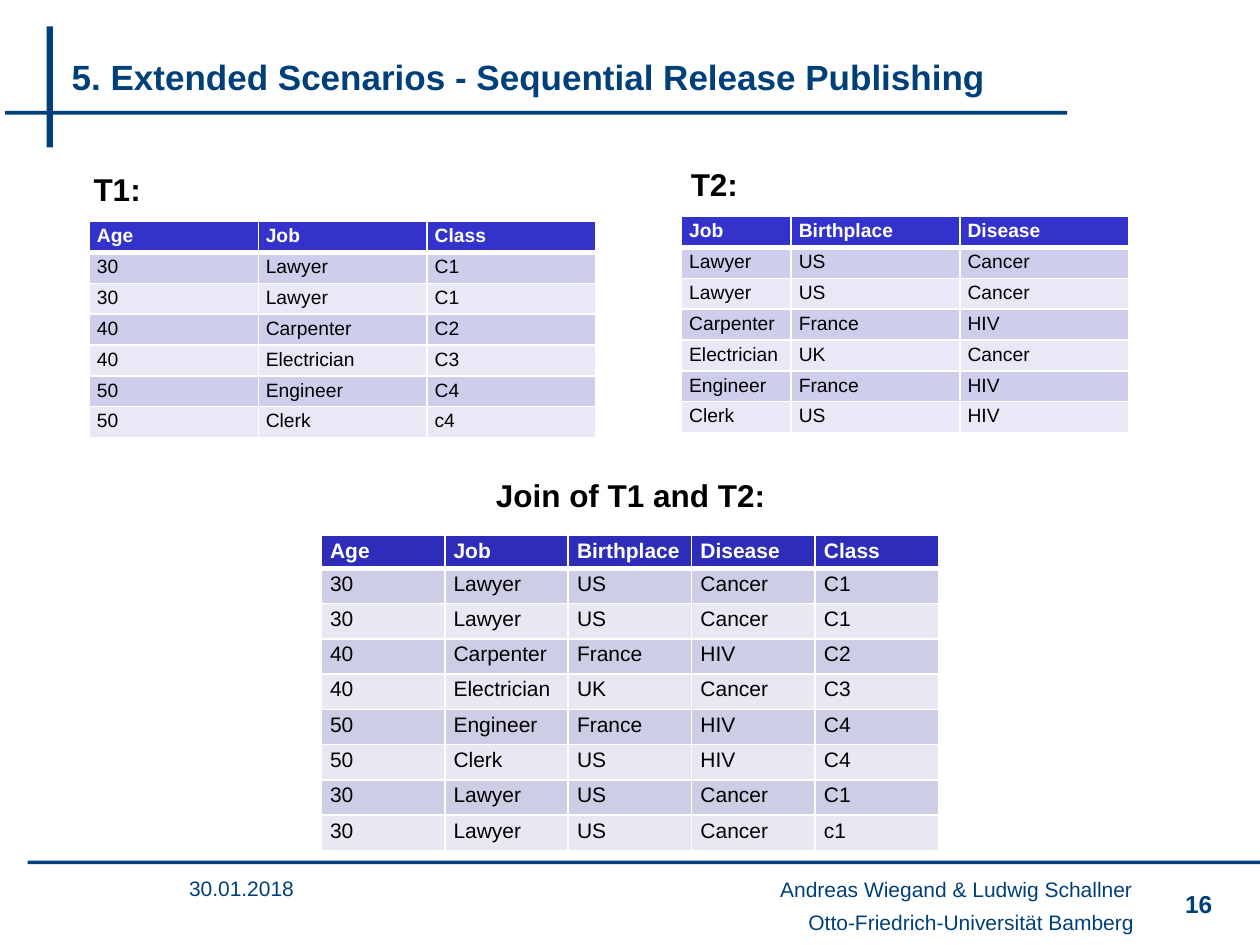
from dataclasses import dataclass

from lxml.etree import SubElement
from pptx import Presentation
from pptx.dml.color import RGBColor
from pptx.enum.shapes import MSO_SHAPE as Shape
from pptx.enum.text import MSO_ANCHOR as Anchor, PP_ALIGN as Align
from pptx.oxml.ns import qn
from pptx.util import Inches, Pt

COLORS = {
    "navy": "00407A", "black": "000000", "white": "FFFFFF",
    "header": "3333CC", "odd": "CECEEC", "even": "E8E8F6",
    "join_header": "2D2DB9", "join_odd": "CDCDE6", "join_even": "E8E8F3",
}
FONT = "Arial"
FOOTER_INSETS = (0.04, 0.05, 0.02, 0.05)


@dataclass
class Bar:
    left: float
    top: float
    width: float
    height: float


@dataclass
class TableSpec:
    left: float
    top: float
    columns: list[float]
    header_height: float
    row_height: float
    rows: list[str]
    size: int = 11
    margin: float = 0.06
    palette: str = ""


BARS = [
    Bar(0.37, 0.21, 0.05, 0.96),
    Bar(0.04, 0.88, 8.43, 0.03),
    Bar(0.22, 6.83, 9.78, 0.03),
]

TABLES = [
    TableSpec(0.71, 1.76, [1.34] * 3, 0.24, 0.245, [
        "Age|Job|Class",
        "30|Lawyer|C1",
        "30|Lawyer|C1",
        "40|Carpenter|C2",
        "40|Electrician|C3",
        "50|Engineer|C4",
        "50|Clerk|c4",
    ]),
    TableSpec(5.41, 1.72, [0.87, 1.34, 1.34], 0.24, 0.245, [
        "Job|Birthplace|Disease",
        "Lawyer|US|Cancer",
        "Lawyer|US|Cancer",
        "Carpenter|France|HIV",
        "Electrician|UK|Cancer",
        "Engineer|France|HIV",
        "Clerk|US|HIV",
    ]),
    TableSpec(2.55, 4.25, [0.98] * 5, 0.25, 0.28, [
        "Age|Job|Birthplace|Disease|Class",
        "30|Lawyer|US|Cancer|C1",
        "30|Lawyer|US|Cancer|C1",
        "40|Carpenter|France|HIV|C2",
        "40|Electrician|UK|Cancer|C3",
        "50|Engineer|France|HIV|C4",
        "50|Clerk|US|HIV|C4",
        "30|Lawyer|US|Cancer|C1",
        "30|Lawyer|US|Cancer|c1",
    ], size=12, margin=0.07, palette="join_"),
]


def rgb(name: str) -> RGBColor:
    return RGBColor.from_string(COLORS[name])


def write_text(frame, text: str, *, size: int, color: str = "navy",
               bold: bool = False, align=Align.LEFT) -> None:
    paragraph = frame.paragraphs[0]
    paragraph.alignment = align
    run = paragraph.add_run()
    run.text = text
    run.font.name = FONT
    run.font.size = Pt(size)
    run.font.bold = bold
    run.font.color.rgb = rgb(color)


def add_text(slide, text: str, left: float, top: float, width: float, height: float,
             *, anchor=Anchor.TOP, insets=(0.1, 0.05, 0.1, 0.05), wrap: bool = True,
             **text_format) -> None:
    box = slide.shapes.add_textbox(Inches(left), Inches(top), Inches(width), Inches(height))
    frame = box.text_frame
    frame.word_wrap = wrap
    frame.vertical_anchor = anchor
    frame.margin_left, frame.margin_top, frame.margin_right, frame.margin_bottom = map(Inches, insets)
    write_text(frame, text, **text_format)


def add_bar(slide, bar: Bar) -> None:
    shape = slide.shapes.add_shape(Shape.RECTANGLE, Inches(bar.left), Inches(bar.top),
                                   Inches(bar.width), Inches(bar.height))
    shape.shadow.inherit = False
    shape.fill.solid()
    shape.fill.fore_color.rgb = rgb("navy")
    shape.line.fill.background()


def set_borders(cell, top: int, bottom: int) -> None:
    properties = cell._tc.get_or_add_tcPr()
    for index, (side, width) in enumerate({"L": 1, "R": 1, "T": top, "B": bottom}.items()):
        line = SubElement(properties, qn(f"a:ln{side}"), w=str(Pt(width)))
        fill = SubElement(line, qn("a:solidFill"))
        SubElement(fill, qn("a:srgbClr"), val=COLORS["white"])
        properties.insert(index, line)  # borders come before the cell fill


def add_table(slide, spec: TableSpec) -> None:
    heights = [spec.header_height] + [spec.row_height] * (len(spec.rows) - 1)
    table = slide.shapes.add_table(
        len(spec.rows), len(spec.columns), Inches(spec.left), Inches(spec.top),
        Inches(sum(spec.columns)), Inches(sum(heights))).table
    for column, width in zip(table.columns, spec.columns):
        column.width = Inches(width)
    for row_index, (row, height, line) in enumerate(zip(table.rows, heights, spec.rows)):
        row.height = Inches(height)
        is_header = row_index == 0
        shade = "header" if is_header else "odd" if row_index % 2 else "even"
        for cell, text in zip(row.cells, line.split("|")):
            cell.margin_left = cell.margin_right = Inches(spec.margin)
            cell.margin_top = cell.margin_bottom = Inches(0.03)
            cell.fill.solid()
            cell.fill.fore_color.rgb = rgb(spec.palette + shade)
            set_borders(cell, top=3 if row_index == 1 else 1, bottom=3 if is_header else 1)
            write_text(cell.text_frame, text, size=spec.size, bold=is_header,
                       color="white" if is_header else "black")


def main() -> None:
    presentation = Presentation()
    presentation.slide_width, presentation.slide_height = Inches(10), Inches(7.5)
    slide = presentation.slides.add_slide(presentation.slide_layouts[6])

    # Rules around the title and above the footer
    for bar in BARS:
        add_bar(slide, bar)

    # Title
    add_text(slide, "5. Extended Scenarios - Sequential Release Publishing",
             0.47, 0.29, 8.62, 0.63, size=20, bold=True, anchor=Anchor.MIDDLE, wrap=False)

    # Footer
    footer = dict(size=12, anchor=Anchor.MIDDLE, insets=FOOTER_INSETS)
    add_text(slide, "30.01.2018", 1.46, 6.79, 1.42, 0.52, **footer)
    add_text(slide, "Andreas Wiegand & Ludwig Schallner", 3.01, 6.9, 6, 0.32,
             align=Align.RIGHT, **footer)
    add_text(slide, "Otto-Friedrich-Universität Bamberg", 2.17, 7.14, 6.85, 0.36,
             align=Align.RIGHT, **footer)
    add_text(slide, "16", 9.2, 7.01, 0.52, 0.36, size=14, bold=True, align=Align.RIGHT)

    # Tables and their headings
    for spec in TABLES:
        add_table(slide, spec)
    for text, left, top, width in [("T1:", 0.42, 1.3, 1.02), ("T2:", 5.16, 1.26, 1.02),
                                   ("Join of T1 and T2:", 3.4, 3.73, 3.21)]:
        add_text(slide, text, left, top, width, 0.4, size=18, bold=True,
                 color="black", align=Align.CENTER)

    presentation.save("out.pptx")


if __name__ == "__main__":
    main()
